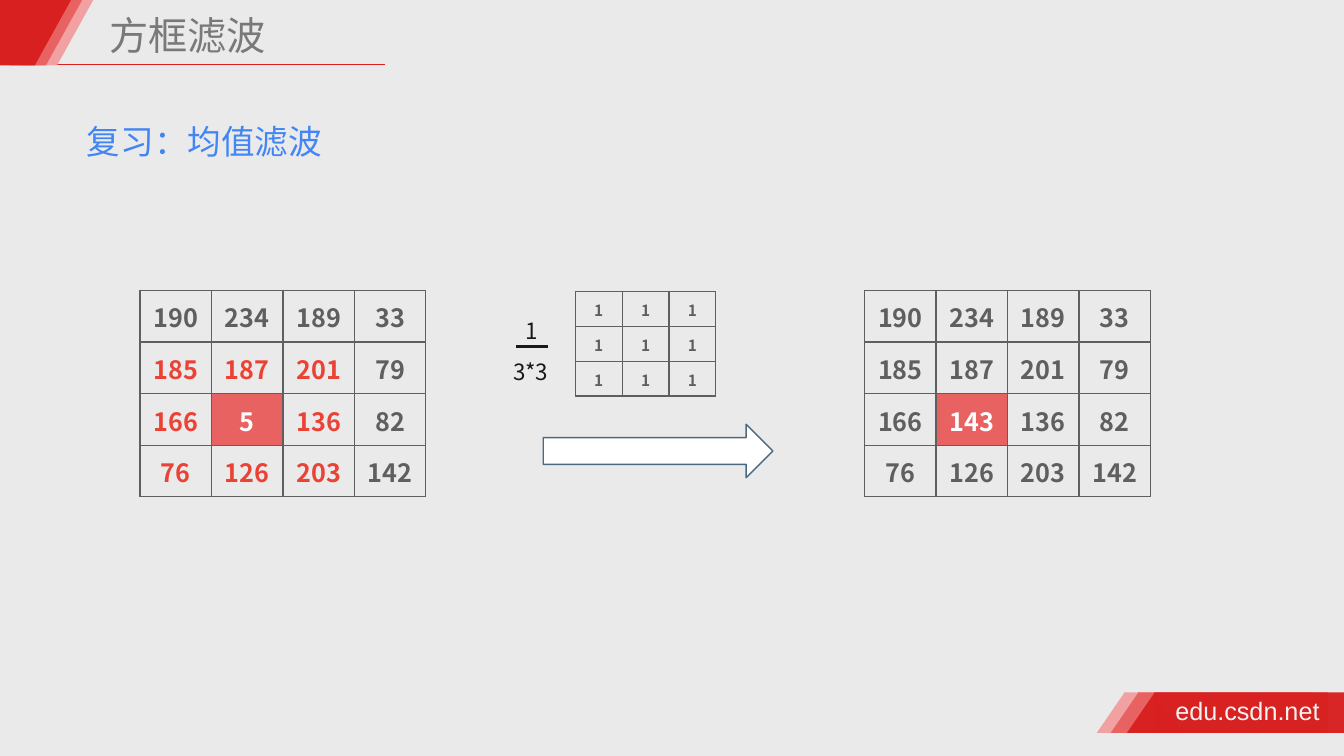
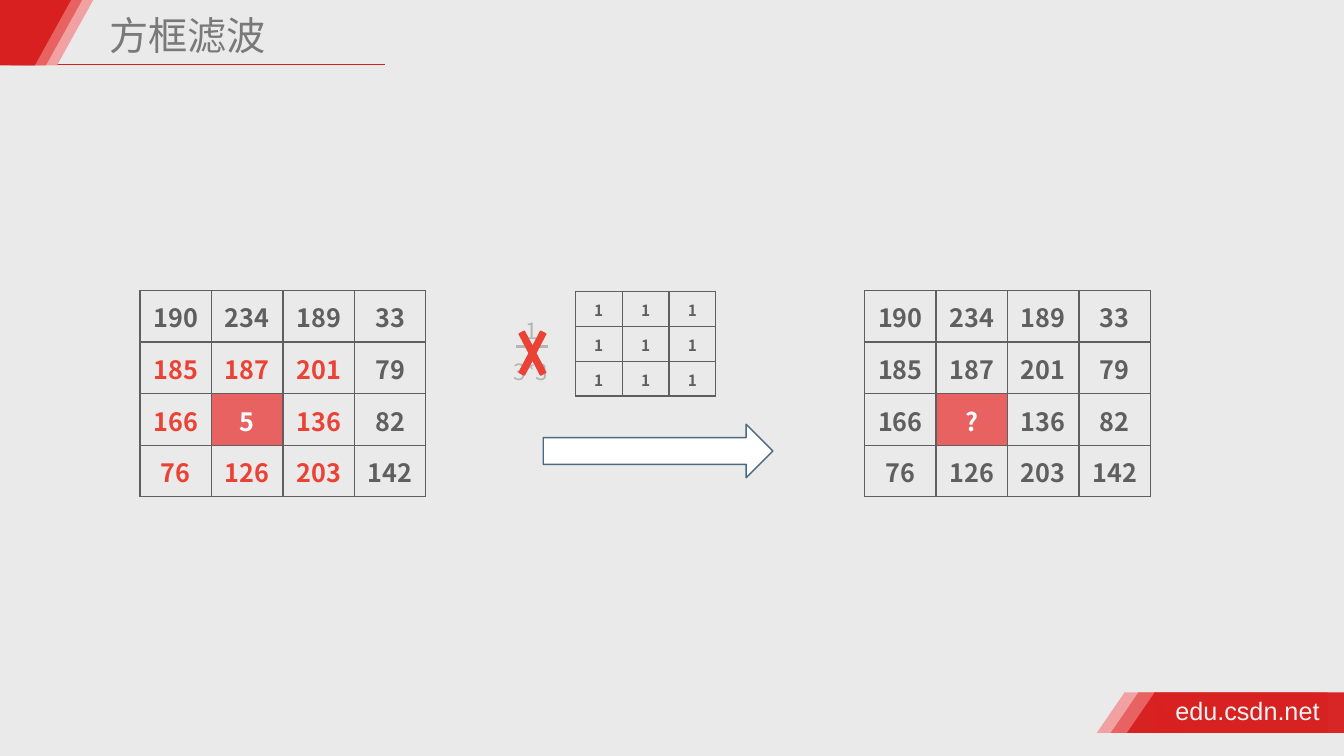
from lxml import etree
from pptx import Presentation
from pptx import util as u
from pptx.dml.color import RGBColor
from pptx.enum import shapes, text
from pptx.oxml.ns import qn

COLORS = {
    "background": "EAEAEA", "red": "D82020", "coral": "E86262", "pink": "F1A1A1",
    "title": "797979", "footer": "F2F2F2", "subtitle": "4285F4", "grid": "5F5F5F",
    "window": "EA4335", "white": "FFFFFF", "ink": "181818", "faded": "B5B5B5",
    "arrow_edge": "4A6982",
}
CJK = "Noto Sans CJK SC"
STYLES = {
    "title": {"size": u.Pt(28), "name": CJK},
    "subtitle": {"size": u.Pt(24), "name": CJK},
    "footer": {"size": u.Pt(18), "name": "Arial"},
    "fraction": {"size": u.Pt(16), "name": CJK},
    "pixel": {"size": u.Pt(18), "name": CJK, "bold": True},
    "weight": {"size": u.Pt(11), "name": CJK, "bold": True},
}
SLIDE_W, SLIDE_H = 33.87, 19.05
PIXELS = [[190, 234, 189, 33], [185, 187, 201, 79], [166, 5, 136, 82], [76, 126, 203, 142]]
WEIGHTS = [[1] * 3] * 3
CENTER = (2, 1)
WINDOW = {(row, col) for row in (1, 2, 3) for col in (0, 1, 2)}


def rgb(color):
    return RGBColor.from_string(COLORS[color])


def cm(*lengths):
    return [u.Cm(round(length, 2)) for length in lengths]


def set_all(target, values):
    for attribute, value in values.items():
        setattr(target, attribute, value)


def write(paragraph, words, style, color):
    run = paragraph.add_run()
    run.text = words
    set_all(run.font, STYLES[style])
    run.font.color.rgb = rgb(color)
    # East Asian characters use their own typeface entry
    etree.SubElement(run.font._element, qn("a:ea"), typeface=STYLES[style]["name"])


def add_text(slide, box, words, style, color, spacing=1.0, wrap=False):
    frame = slide.shapes.add_textbox(*cm(*box)).text_frame
    inset = u.Cm(0.13)
    set_all(frame, {
        "margin_left": inset, "margin_right": inset, "margin_top": inset,
        "margin_bottom": inset, "word_wrap": wrap,
        "auto_size": text.MSO_AUTO_SIZE.SHAPE_TO_FIT_TEXT,
    })
    frame.paragraphs[0].line_spacing = spacing
    write(frame.paragraphs[0], words, style, color)


def add_preset(slide, preset, box, fill, edge=None):
    shape = slide.shapes.add_shape(preset, *cm(*box))
    shape.shadow.inherit = False
    shape.fill.solid()
    shape.fill.fore_color.rgb = rgb(fill)
    if edge:
        shape.line.color.rgb = rgb(edge)
        shape.line.width = u.Pt(1)
    else:
        shape.line.fill.background()
    return shape


def add_rule(slide, left, right, y, color, width):
    rule = slide.shapes.add_connector(shapes.MSO_CONNECTOR.STRAIGHT, *cm(left, y, right, y))
    rule.line.color.rgb = rgb(color)
    rule.line.width = u.Pt(width)
    etree.SubElement(rule._element.spPr, qn("a:effectLst"))


def add_slanted_band(slide, box, slant_w, bar_shift, bar_w, color, rotation=0, alpha=None):
    """A bar whose slanted edge is half of a triangle."""
    left, top, height = box
    parts = [
        (shapes.MSO_SHAPE.RECTANGLE, left + bar_shift, bar_w),
        (shapes.MSO_SHAPE.ISOSCELES_TRIANGLE, left, slant_w),
    ]
    for preset, part_left, width in parts:
        part = add_preset(slide, preset, (part_left, top, width, height), color)
        part.rotation = rotation
        if alpha:
            fill_color = part._element.spPr.find(".//" + qn("a:srgbClr"))
            etree.SubElement(fill_color, qn("a:alpha"), val=str(alpha * 1000))


def add_header(slide, title):
    add_rule(slide, 1.24, 9.7, 1.63, "red", 1)
    for step, color in ((2, "pink"), (1, "coral"), (0, "red")):
        add_slanted_band(slide, (-0.04 + 0.28 * step, 0, 1.65), 1.83, 0.02, 0.89, color, 180)
    add_text(slide, (2.62, 0.3, 11.07, 1.35), title, "title", "title", 0.9, wrap=True)


def add_footer(slide, address):
    bar_w, bar_shift = 4.78, 0.69
    right_band = SLIDE_W - bar_w - bar_shift
    for back, color, alpha in ((0.76, "pink", None), (0.41, "coral", None), (0, "red", 97)):
        add_slanted_band(slide, (right_band - back, 17.45, 1.02), 1.4, bar_shift, bar_w,
                         color, alpha=alpha)
    add_text(slide, (29.49, 17.4, 3.94, 1.02), address, "footer", "footer")


def style_cell(cell, value, style, color, fill=None):
    set_all(cell, {
        "margin_left": u.Cm(0.03), "margin_right": u.Cm(0.03), "margin_top": u.Cm(0.03),
        "margin_bottom": 0, "vertical_anchor": text.MSO_ANCHOR.MIDDLE,
    })
    # Borders come before the fill in the cell properties
    properties = cell._tc.get_or_add_tcPr()
    for side in ("a:lnL", "a:lnR", "a:lnT", "a:lnB"):
        border = etree.SubElement(properties, qn(side), w=str(u.Pt(1)))
        solid = etree.SubElement(border, qn("a:solidFill"))
        etree.SubElement(solid, qn("a:srgbClr"), val=COLORS["grid"])
    if fill:
        cell.fill.solid()
        cell.fill.fore_color.rgb = rgb(fill)
    else:
        cell.fill.background()
    paragraph = cell.text_frame.paragraphs[0]
    paragraph.alignment = text.PP_ALIGN.CENTER
    write(paragraph, str(value), style, color)


def add_matrix(slide, left, top, cell_w, cell_h, values, style, center=None, window=()):
    """A square grid; center replaces the value of the highlighted pixel."""
    count = len(values)
    grid = slide.shapes.add_table(
        count, count, *cm(left, top, cell_w * count, cell_h * count)).table
    set_all(grid, {"first_row": False, "horz_banding": False})
    for index in range(count):
        grid.columns[index].width = u.Cm(cell_w)
        grid.rows[index].height = u.Cm(cell_h)
    for row, numbers in enumerate(values):
        for col, number in enumerate(numbers):
            cell = grid.cell(row, col)
            if center is not None and (row, col) == CENTER:
                style_cell(cell, center, style, "white", "coral")
            else:
                color = "window" if (row, col) in window else "grid"
                style_cell(cell, number, style, color)


def add_fraction(slide, left, top, crossed_out):
    color = "faded" if crossed_out else "ink"
    add_text(slide, (left + 0.31, top, 0.58, 1.27), "1", "fraction", color, 1.5)
    add_text(slide, (left, top + 1.04, 1.19, 1.27), "3*3", "fraction", color, 1.5)
    add_rule(slide, left + 0.2, left + 1, top + 1.21, color, 1.5)
    if crossed_out:
        cross = add_preset(slide, shapes.MSO_SHAPE.MATH_MULTIPLY,
                           (left + 0.1, top + 0.38, 1.04, 2), "window", "window")
        cross.adjustments[0] = 0.143


def add_filter_diagram(slide, left, top, result, crossed_out):
    # Source pixels, kernel and result, left to right
    add_matrix(slide, left, top, 1.8, 1.3, PIXELS, "pixel", center=5, window=WINDOW)
    add_preset(slide, shapes.MSO_SHAPE.RIGHT_ARROW,
               (left + 10.16, top + 3.37, 5.79, 1.35), "white", "arrow_edge")
    add_matrix(slide, left + 10.97, top + 0.02, 1.18, 0.88, WEIGHTS, "weight")
    add_matrix(slide, left + 18.26, top, 1.8, 1.3, PIXELS, "pixel", center=result)
    add_fraction(slide, left + 9.27, top + 0.2, crossed_out)


def add_filter_slide(prs, result, crossed_out=False, subtitle=None):
    slide = prs.slides.add_slide(prs.slide_layouts[6])
    add_header(slide, "方框滤波")
    add_footer(slide, "edu.csdn.net")
    add_filter_diagram(slide, 3.53, 7.32, result, crossed_out)
    if subtitle:
        add_text(slide, (2.06, 2.41, 6.25, 1.8), subtitle, "subtitle", "subtitle", 1.5)


def main():
    prs = Presentation()
    prs.slide_width, prs.slide_height = cm(SLIDE_W, SLIDE_H)
    # Every slide takes its background from the master
    backdrop = prs.slide_master.background.fill
    backdrop.solid()
    backdrop.fore_color.rgb = rgb("background")
    add_filter_slide(prs, 143, subtitle="复习：均值滤波")
    add_filter_slide(prs, "?", crossed_out=True)
    prs.save("out.pptx")


if __name__ == "__main__":
    main()
